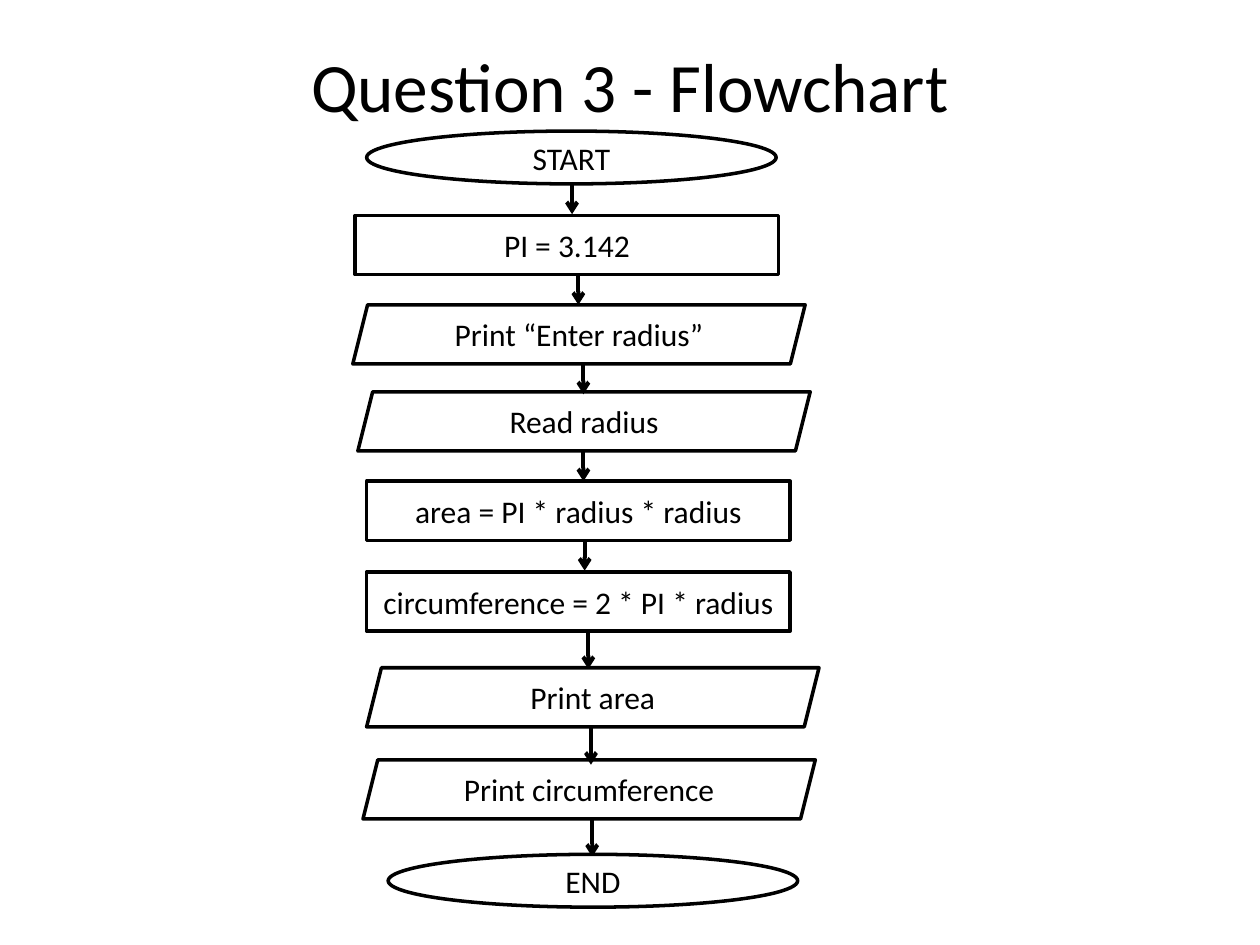
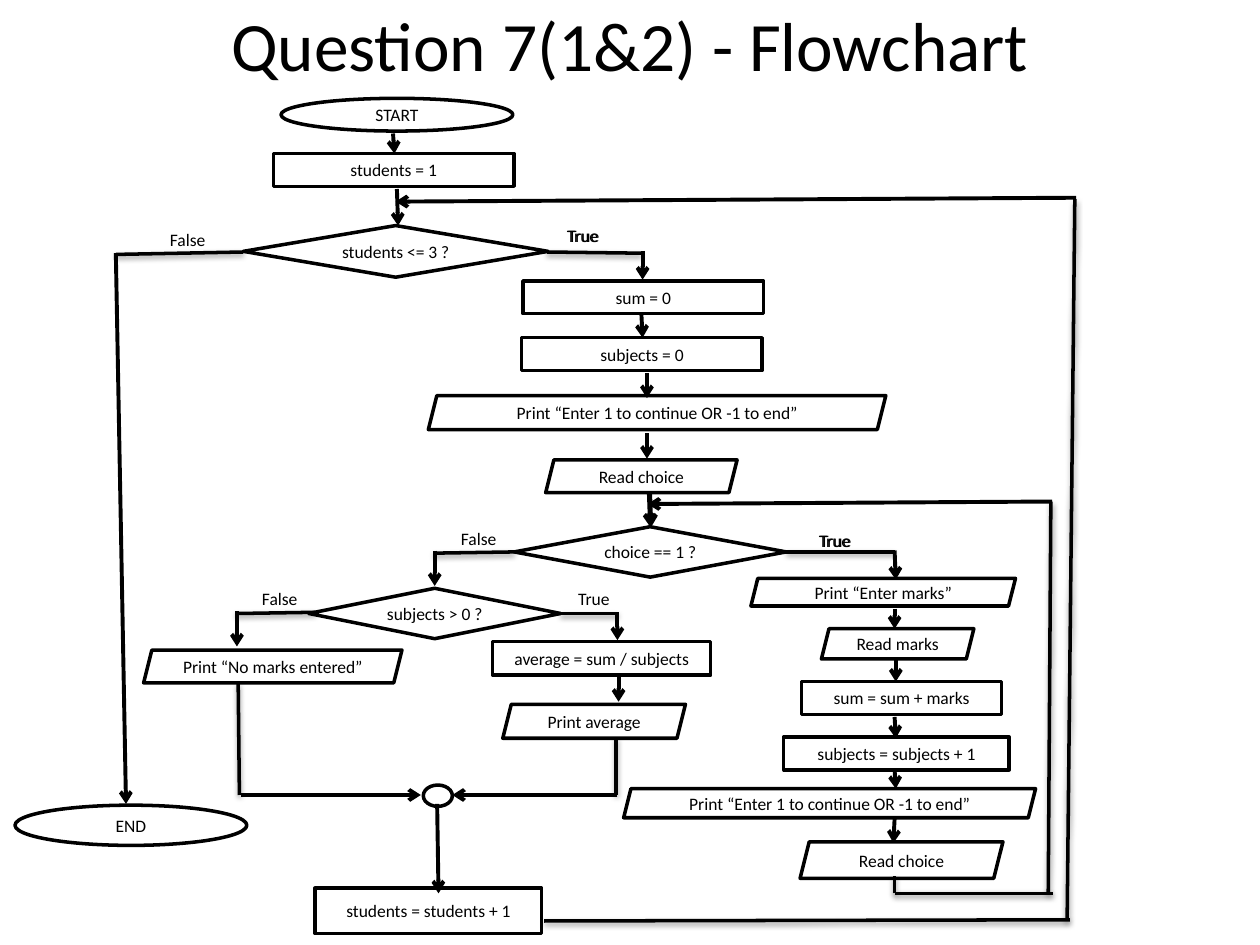
from typing import NamedTuple

from lxml import etree
from pptx import Presentation
from pptx import util as u
from pptx.dml.color import RGBColor
from pptx.enum import shapes, text
from pptx.oxml.ns import qn

BLACK = RGBColor(0x00, 0x00, 0x00)
WHITE = RGBColor(0xFF, 0xFF, 0xFF)
FONT = "Calibri"
TITLE_SIZE = 39.6
OUTLINE, ARROW_LINE = 2, 2.25

OVAL = shapes.MSO_SHAPE.OVAL
BOX = shapes.MSO_SHAPE.RECTANGLE
INOUT = shapes.MSO_SHAPE.PARALLELOGRAM
CHOICE = shapes.MSO_SHAPE.DIAMOND


class Node(NamedTuple):
    kind: shapes.MSO_SHAPE
    x: float
    y: float
    w: float
    h: float
    label: str = ""


class Line(NamedTuple):
    x1: float
    y1: float
    x2: float
    y2: float


class Step(NamedTuple):
    """One step of the straight chart, with the arrow that leaves it."""
    kind: shapes.MSO_SHAPE
    x: float
    y: float
    label: str
    arrow_x: float = 0
    arrow_length: float = 0


class Label(NamedTuple):
    x: float
    y: float
    label: str


# Straight chart: one size for each kind of step
STEP_SIZES = {OVAL: (234, 30.2), BOX: (242, 33.8), INOUT: (258.5, 33.8)}
STEPS = [
    Step(OVAL, 209.5, 74.9, "START", 326.9, 17.3),
    Step(BOX, 203, 123.1, "PI = 3.142", 330.5, 17.3),
    Step(INOUT, 201.6, 174.2, "Print “Enter radius”", 333.4, 17.3),
    Step(INOUT, 204.5, 223.9, "Read radius", 333.4, 17.3),
    Step(BOX, 209.5, 275, "area = PI * radius * radius", 334.1, 17.3),
    Step(BOX, 209.5, 326.9, "circumference = 2 * PI * radius", 336.2, 21.6),
    Step(INOUT, 209.5, 381.6, "Print area", 337.7, 21.6),
    Step(INOUT, 207.4, 434.2, "Print circumference", 338.4, 21.6),
    Step(OVAL, 221.8, 488.2, "END"),
]

# Nested loop chart
ASK = "Print “Enter 1 to continue OR -1 to end”"
NODES = [
    Node(OVAL, 160.6, 56.2, 132.5, 18.7, "START"),
    Node(BOX, 156.2, 87.8, 137.5, 18.7, "students = 1"),
    Node(CHOICE, 139, 128.9, 174.2, 29.5, "students <= 3 ?"),
    Node(OVAL, 8.6, 460.1, 132.5, 23, "END"),
    # Outer loop
    Node(BOX, 298.8, 160.6, 137.5, 18.7, "sum = 0"),
    Node(BOX, 298.1, 193, 137.5, 18.7, "subjects = 0"),
    Node(INOUT, 244.8, 226.1, 261.4, 19.4, ASK),
    Node(INOUT, 311.8, 262.8, 109.4, 18.7, "Read choice"),
    Node(CHOICE, 293.8, 301, 155.5, 28.8, "choice == 1 ?"),
    # Inner loop
    Node(INOUT, 429.1, 330.5, 151.2, 15.8, "Print “Enter marks”"),
    Node(INOUT, 469.4, 359.3, 87.1, 17.3, "Read marks"),
    Node(BOX, 457.9, 389.5, 114.5, 18.7, "sum = sum + marks"),
    Node(BOX, 447.8, 421.2, 128.9, 18.7, "subjects = subjects + 1"),
    Node(INOUT, 356.4, 450.7, 235.4, 16.6, ASK),
    Node(INOUT, 457.2, 481, 115.9, 20.9, "Read choice"),
    # Average of one student
    Node(CHOICE, 176.4, 336.2, 144, 28.8, "subjects > 0 ?"),
    Node(INOUT, 82.1, 371.5, 147.6, 18.7, "Print “No marks entered”"),
    Node(BOX, 281.5, 366.5, 124.6, 19.4, "average = sum / subjects"),
    Node(INOUT, 287.3, 402.5, 104.4, 19.4, "Print average"),
    Node(OVAL, 241.9, 448.6, 16.6, 12.2),
    Node(BOX, 180, 507.6, 129.6, 25.9, "students = students + 1"),
]
ARROWS = [
    Line(224.6, 76.3, 225.4, 87.8),
    Line(226.8, 108, 227.5, 128.9),
    Line(614.9, 113, 226.1, 115.2),
    Line(66.2, 144.7, 72, 459.4),
    Line(367.2, 143.3, 367.2, 159.8),
    Line(366.5, 179.3, 367.2, 193),
    Line(369.7, 213.1, 369.7, 227.5),
    Line(369.7, 247.7, 369.7, 262.1),
    Line(370.8, 282.2, 371.5, 301),
    Line(371.5, 282.2, 372.2, 301),
    Line(601.2, 286.6, 370.1, 288),
    # Inner loop
    Line(511.2, 314.6, 511.9, 331.2),
    Line(511.2, 347.8, 511.2, 359.3),
    Line(511.9, 377.3, 511.9, 389.5),
    Line(511.2, 409.7, 511.9, 421.9),
    Line(511.2, 439.9, 511.9, 450.7),
    Line(511.2, 468, 510.5, 481.7),
    # Average of one student
    Line(248.4, 314.6, 248.4, 334.8),
    Line(135.4, 349.2, 135.4, 369.4),
    Line(352.8, 349.9, 352.8, 365.8),
    Line(353.5, 386.6, 353.5, 401),
    Line(137.5, 454.3, 240.5, 454.3),
    Line(352.8, 454.3, 258.5, 454.3),
    Line(249.8, 459.4, 250.6, 510.5),
]
JOINS = [
    Line(66.2, 145.4, 139, 144),
    Line(312.5, 144, 366.5, 144.7),
    Line(247.7, 316.1, 293.8, 315.4),
    Line(449.3, 315.4, 511.2, 315.4),
    Line(134.6, 350.6, 180, 349.9),
    Line(320.4, 350.6, 353.5, 350.6),
    Line(136.1, 390.2, 136.8, 454.3),
    Line(352.1, 421.9, 352.1, 454.3),
    # Way back of the inner loop
    Line(511.2, 510.5, 511.2, 500.4),
    Line(511.2, 510.5, 601.9, 510.5),
    Line(599, 510.5, 600.5, 286.6),
    # Way back of the outer loop
    Line(311, 526.3, 611.3, 525.6),
    Line(609.8, 525.6, 614.2, 113.8),
]
LABELS = [
    Label(90, 127.4, "False"),
    Label(316.8, 125.3, "True"),
    Label(317.5, 125.3, "True"),
    Label(256.3, 298.1, "False"),
    Label(460.8, 299.5, "True"),
    Label(461.5, 299.5, "True"),
    Label(142.6, 332.6, "False"),
    Label(323.3, 332.6, "True"),
]


def write(tf, words: str, size: float, align=text.PP_ALIGN.CENTER) -> None:
    tf.text = words
    p = tf.paragraphs[0]
    p.alignment = align
    p.font.name, p.font.size = FONT, u.Pt(size)
    p.font.color.rgb = BLACK


def add_title(s, words: str, y: float, h: float) -> None:
    tf = s.shapes.add_textbox(u.Pt(36), u.Pt(y), u.Pt(648), u.Pt(h)).text_frame
    tf.word_wrap = True
    tf.vertical_anchor = text.MSO_ANCHOR.MIDDLE
    write(tf, words, TITLE_SIZE)


def add_node(s, node: Node, size: float) -> None:
    sp = s.shapes.add_shape(node.kind, *(u.Pt(v) for v in node[1:5]))
    sp.shadow.inherit = False
    if node.kind == OVAL:
        sp.fill.solid()
        sp.fill.fore_color.rgb = WHITE
    else:
        sp.fill.background()
    sp.line.color.rgb, sp.line.width = BLACK, u.Pt(OUTLINE)
    if node.label:
        tf = sp.text_frame
        tf.word_wrap = False
        tf.margin_top = tf.margin_bottom = 0
        tf.vertical_anchor = text.MSO_ANCHOR.MIDDLE
        write(tf, node.label, size)


def add_line(s, line: Line, width: float):
    """Draw a line and return it with its empty effect list."""
    cx = s.shapes.add_connector(shapes.MSO_CONNECTOR.STRAIGHT, *(u.Pt(v) for v in line))
    cx.line.color.rgb, cx.line.width = BLACK, u.Pt(width)
    effects = etree.SubElement(cx._element.spPr, qn("a:effectLst"))
    return cx, effects


def add_arrow(s, line: Line) -> None:
    cx, _ = add_line(s, line, ARROW_LINE)
    etree.SubElement(cx.line._get_or_add_ln(), qn("a:tailEnd"), type="arrow")


def add_join(s, line: Line) -> None:
    """Draw a plain line with a soft shadow below it."""
    _, effects = add_line(s, line, OUTLINE)
    shadow = etree.SubElement(effects, qn("a:outerShdw"), blurRad=str(u.Pt(3.1)),
                              dist=str(u.Pt(1.6)), dir="5400000", rotWithShape="0")
    color = etree.SubElement(shadow, qn("a:srgbClr"), val=str(BLACK))
    etree.SubElement(color, qn("a:alpha"), val="38000")


def add_label(s, label: Label, size: float) -> None:
    tf = s.shapes.add_textbox(u.Pt(label.x), u.Pt(label.y), u.Pt(46), u.Pt(17.3)).text_frame
    tf.word_wrap = True
    write(tf, label.label, size, text.PP_ALIGN.LEFT)


def build_straight_chart(s) -> None:
    add_title(s, "Question 3 - Flowchart", 21.6, 53.3)
    for step in STEPS:
        w, h = STEP_SIZES[step.kind]
        add_node(s, Node(step.kind, step.x, step.y, w, h, step.label), 18)
        if step.arrow_length:
            bottom = step.y + h
            add_arrow(s, Line(step.arrow_x, bottom, step.arrow_x, bottom + step.arrow_length))


def build_loop_chart(s) -> None:
    add_title(s, "Question 7(1&2) - Flowchart", 6.5, 37.4)
    for node in NODES:
        add_node(s, node, 10)
    for join in JOINS:
        add_join(s, join)
    for arrow in ARROWS:
        add_arrow(s, arrow)
    for label in LABELS:
        add_label(s, label, 10)


def main() -> None:
    prs = Presentation()
    prs.slide_width, prs.slide_height = u.Pt(720), u.Pt(540)
    for build in (build_straight_chart, build_loop_chart):
        build(prs.slides.add_slide(prs.slide_layouts[6]))
    prs.save("out.pptx")


if __name__ == "__main__":
    main()
